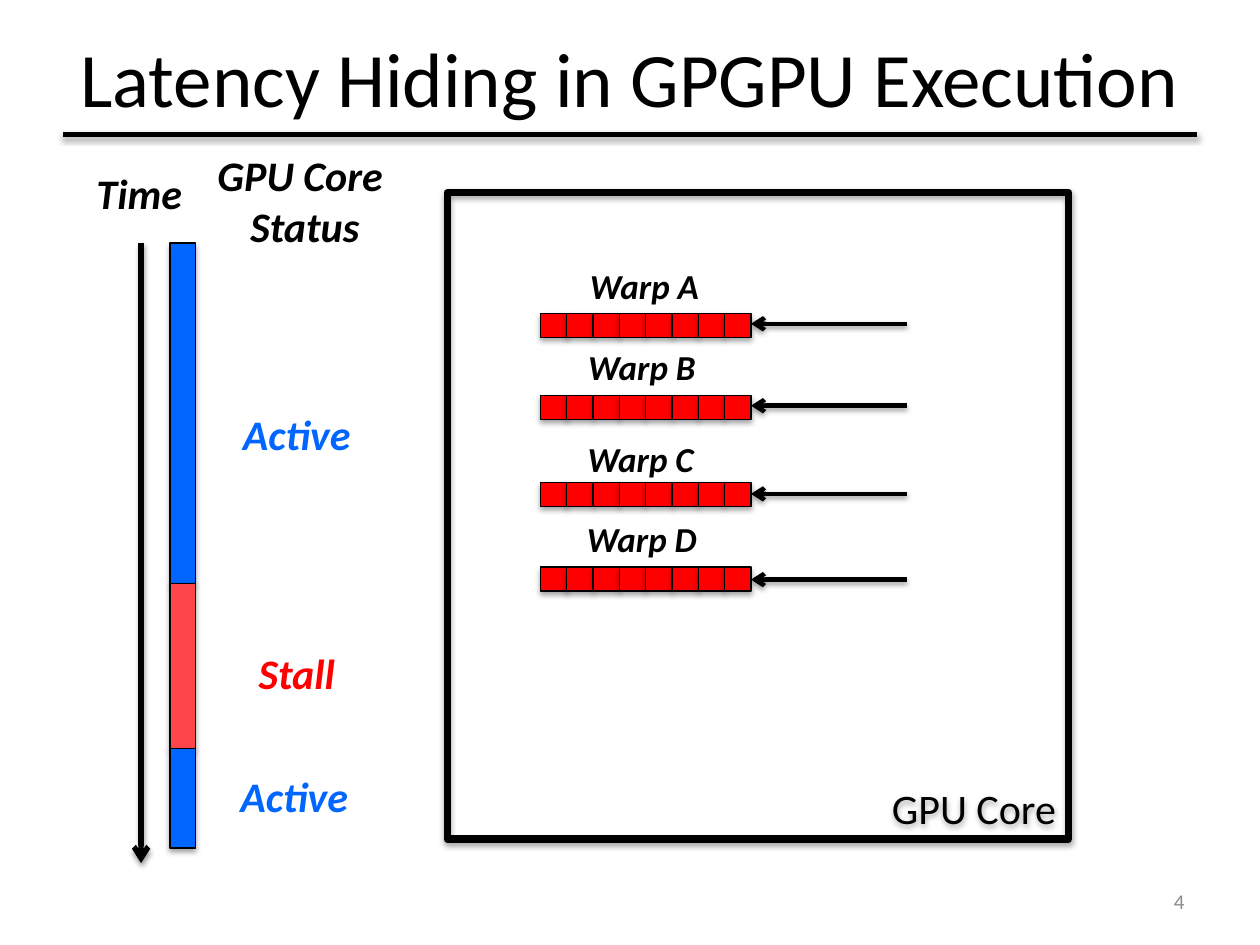
"""Build the slide on latency hiding in GPGPU execution."""
import lxml.etree
import pptx
import pptx.dml.color
import pptx.enum.shapes
import pptx.enum.text
import pptx.oxml.ns
import pptx.util

Inches, Pt = pptx.util.Inches, pptx.util.Pt
RGB = pptx.dml.color.RGBColor
ALIGN = pptx.enum.text.PP_ALIGN
ANCHOR = pptx.enum.text.MSO_ANCHOR
FIT = pptx.enum.text.MSO_AUTO_SIZE
qn = pptx.oxml.ns.qn

BLACK = RGB(0x00, 0x00, 0x00)
GRAY = RGB(0x8C, 0x8C, 0x8C)
RED = RGB(0xFF, 0x00, 0x00)
STALL_RED = RGB(0xFF, 0x45, 0x4C)
BLUE = RGB(0x00, 0x66, 0xFF)


class Deck:
    font = "Calibri"
    label = {"bold": True, "italic": True}

    def __init__(self, s):
        self.s = s

    def shadow(self, sp, alpha, dist):
        effects = lxml.etree.SubElement(sp.element.spPr, qn("a:effectLst"))
        outer = lxml.etree.SubElement(
            effects, qn("a:outerShdw"), blurRad=str(Pt(3.1)), dist=str(Pt(dist)),
            dir="5400000", rotWithShape="0")
        color = lxml.etree.SubElement(outer, qn("a:srgbClr"), val=str(BLACK))
        lxml.etree.SubElement(color, qn("a:alpha"), val=str(alpha * 1000))

    def fill_text(self, sp, text, size, color=BLACK, align=ALIGN.CENTER, font=None, frame=None):
        tf = sp.text_frame
        for name, value in (frame or {}).items():
            setattr(tf, name, value)
        for i, line in enumerate(text.split("\n")):
            p = tf.add_paragraph() if i else tf.paragraphs[0]
            p.alignment = align
            r = p.add_run()
            r.text = line
            for name, value in {"name": self.font, "size": Pt(size), **(font or {})}.items():
                setattr(r.font, name, value)
            r.font.color.rgb = color

    def title(self, text, x, y, w, h):
        sp = self.s.shapes.title
        box = {"left": x, "top": y, "width": w, "height": h}
        for name, value in box.items():
            setattr(sp, name, Inches(value))
        self.fill_text(sp, text, 44, frame={
            "auto_size": FIT.NONE, "vertical_anchor": ANCHOR.MIDDLE})

    def text(self, text, x, y, w, h, size=24, color=BLACK):
        sp = self.s.shapes.add_textbox(Inches(x), Inches(y), Inches(w), Inches(h))
        self.fill_text(sp, text, size, color, font=self.label, frame={
            "word_wrap": False, "auto_size": FIT.SHAPE_TO_FIT_TEXT})

    def number(self, text, x, y, w, h):
        sp = self.s.shapes.add_textbox(Inches(x), Inches(y), Inches(w), Inches(h))
        self.fill_text(sp, text, 12, GRAY, ALIGN.RIGHT, frame={
            "word_wrap": True, "vertical_anchor": ANCHOR.MIDDLE})

    def rect(self, x, y, w, h, fill=None, weight=0.75):
        sp = self.s.shapes.add_shape(
            pptx.enum.shapes.MSO_SHAPE.RECTANGLE, Inches(x), Inches(y), Inches(w), Inches(h))
        if fill is None:
            sp.fill.background()
        else:
            sp.fill.solid()
            sp.fill.fore_color.rgb = fill
        sp.line.color.rgb = BLACK
        sp.line.width = Pt(weight)
        self.shadow(sp, 35, 1.8)
        return sp

    def line(self, x1, y1, x2, y2, weight, arrow=True):
        sp = self.s.shapes.add_connector(
            pptx.enum.shapes.MSO_CONNECTOR.STRAIGHT,
            Inches(x1), Inches(y1), Inches(x2), Inches(y2))
        sp.line.color.rgb = BLACK
        sp.line.width = Pt(weight)
        if arrow:
            ln = sp.element.spPr.find(qn("a:ln"))
            lxml.etree.SubElement(ln, qn("a:tailEnd"), type="arrow")
        self.shadow(sp, 38, 1.6)

    def warp(self, name, label_x, label_y, cells_y, arrow_y):
        for i in range(8):
            self.rect(4.29 + i * 1.67 / 8, cells_y, 0.21, 0.19, RED)
        self.line(7.2, arrow_y, 5.96, arrow_y, 2.5)
        self.text(name, label_x, label_y, 1.07, 0.44, 20)


def main():
    prs = pptx.Presentation()
    prs.slide_width, prs.slide_height = Inches(10), Inches(7.5)
    deck = Deck(prs.slides.add_slide(prs.slide_layouts[5]))

    deck.title("Latency Hiding in GPGPU Execution", 0.5, 0.14, 9, 0.93)
    deck.line(0.5, 1.07, 9.5, 1.07, 3, arrow=False)
    deck.number("4", 7.17, 6.95, 2.33, 0.4)

    core = deck.rect(3.55, 1.53, 4.93, 5.13, weight=4.25)
    deck.fill_text(core, "GPU Core", 24, align=ALIGN.RIGHT, frame={
        "word_wrap": True, "vertical_anchor": ANCHOR.BOTTOM})
    for warp in (
        ("Warp A", 4.58, 2.05, 2.49, 2.57),
        ("Warp B", 4.56, 2.69, 3.14, 3.22),
        ("Warp C", 4.55, 3.42, 3.83, 3.92),
        ("Warp D", 4.56, 4.06, 4.5, 4.6),
    ):
        deck.warp(*warp)

    deck.text("Time", 0.66, 1.28, 0.89, 0.5)
    deck.text("GPU Core \nStatus", 1.62, 1.14, 1.6, 0.91)
    deck.line(1.12, 1.93, 1.12, 6.85, 3)
    top = 1.93
    for status, height, fill, color, x, y, w in (
        ("Active", 2.7, BLUE, BLUE, 1.82, 3.19, 1.07),
        ("Stall", 1.31, STALL_RED, RED, 1.95, 5.09, 0.81),
        ("Active", 0.79, BLUE, BLUE, 1.8, 6.07, 1.07),
    ):
        deck.rect(1.35, top, 0.2, height, fill)
        deck.text(status, x, y, w, 0.5, color=color)
        top += height

    prs.save("out.pptx")


if __name__ == "__main__":
    main()
